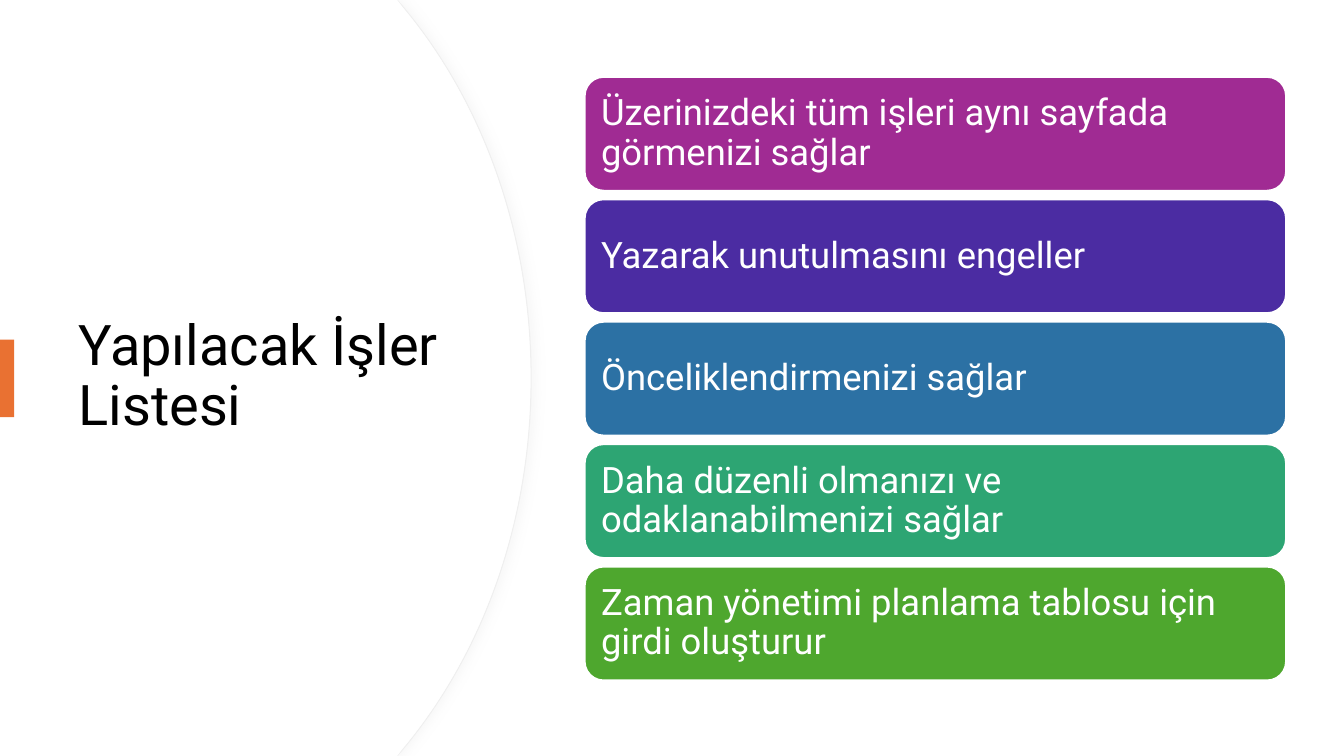
from lxml import etree
from pptx import Presentation
from pptx.dml.color import RGBColor
from pptx.enum.shapes import MSO_SHAPE
from pptx.enum.text import MSO_ANCHOR, PP_ALIGN
from pptx.oxml.ns import qn
from pptx.util import Pt

RECT, ROUNDED = MSO_SHAPE.RECTANGLE, MSO_SHAPE.ROUNDED_RECTANGLE
MIDDLE, LEFT = MSO_ANCHOR.MIDDLE, PP_ALIGN.LEFT

TITLE = "Yapılacak İşler Listesi"
BENEFITS = [
    ("Üzerinizdeki tüm işleri aynı sayfada görmenizi sağlar", "A02B93"),
    ("Yazarak unutulmasını engeller", "4B2CA2"),
    ("Önceliklendirmenizi sağlar", "2C71A4"),
    ("Daha düzenli olmanızı ve odaklanabilmenizi sağlar", "2DA573"),
    ("Zaman yönetimi planlama tablosu için girdi oluşturur", "4EA72E"),
]
THEME = {
    "font": "Roboto", "title_size": 40, "card_size": 26,
    "ink": "000000", "paper": "FFFFFF", "accent": "E97132",
    "edge": "EFEFEF", "shadow": "D9D9D9", "shadow_alpha": 20000,
}
SLIDE_W, SLIDE_H = 960, 540
TITLE_BOX = (49, 91.4, 283.7, 356.4)
ACCENT_BOX = (0, 242.6, 10.1, 55.4)
CARD_X, CARD_Y, CARD_W, CARD_H, CARD_PITCH = 417.6, 54.9, 501.1, 81.4, 87.45
LABEL_GAP = 3.97
TITLE_INSETS, LABEL_INSETS = (7.2, 3.6), (7.8, 7.8)
PANEL_START = (283.7, 0)
PANEL_ARC = [(288.7, 5.8), (344.9, 73.4), (379.4, 167), (379.4, 270)]
CURVE_STARTS = (2, 5)


def rgb(value):
    return RGBColor.from_string(value)


def paint(s, fill, line=None, width=0):
    s.shadow.inherit = False
    s.fill.solid()
    s.fill.fore_color.rgb = rgb(fill)
    if line:
        s.line.color.rgb = rgb(line)
        s.line.width = Pt(width)
    else:
        s.line.fill.background()


def add_text(shapes, box, text, size, color, insets):
    tf = shapes.add_textbox(*map(Pt, box)).text_frame
    side, end = map(Pt, insets)
    frame_format = {"word_wrap": True, "vertical_anchor": MIDDLE,
                    "margin_left": side, "margin_right": side,
                    "margin_top": end, "margin_bottom": end}
    for name, value in frame_format.items():
        setattr(tf, name, value)
    p = tf.paragraphs[0]
    p.alignment, p.line_spacing = LEFT, 0.9
    r = p.add_run()
    r.text = text
    r.font.name, r.font.size = THEME["font"], Pt(size)
    r.font.color.rgb = rgb(color)


def add_panel(shapes, inward):
    upper = [PANEL_START] + [(x - inward, y) for x, y in PANEL_ARC]
    lower = [(x, SLIDE_H - y) for x, y in reversed(upper[:-1])]
    outline = upper + lower + [(0, SLIDE_H)]
    builder = shapes.build_freeform(0, 0)
    builder.add_line_segments([(Pt(x), Pt(y)) for x, y in outline], close=True)
    panel = builder.convert_to_shape()
    segments = list(panel.element.iter(qn("a:lnTo")))
    for start in CURVE_STARTS:
        curve = etree.Element(qn("a:cubicBezTo"))
        segments[start].addprevious(curve)
        for segment in segments[start:start + 3]:
            curve.append(segment[0])
            segment.getparent().remove(segment)
    return panel


def add_soft_shadow(s):
    effects = s.element.spPr.find(qn("a:effectLst"))
    shadow = etree.SubElement(effects, qn("a:outerShdw"), blurRad=str(Pt(7)),
                              dist=str(Pt(3)), dir="0", algn="l", rotWithShape="0")
    color = etree.SubElement(shadow, qn("a:srgbClr"), val=THEME["shadow"])
    etree.SubElement(color, qn("a:alpha"), val=str(THEME["shadow_alpha"]))


def main():
    prs = Presentation()
    prs.slide_width, prs.slide_height = Pt(SLIDE_W), Pt(SLIDE_H)
    shapes = prs.slides.add_slide(prs.slide_layouts[6]).shapes

    panel_edge = add_panel(shapes, 0)
    paint(panel_edge, THEME["paper"], THEME["edge"], 0.75)
    add_soft_shadow(panel_edge)
    paint(add_panel(shapes, 0.7), THEME["paper"])

    add_text(shapes, TITLE_BOX, TITLE, THEME["title_size"], THEME["ink"], TITLE_INSETS)
    paint(shapes.add_shape(RECT, *map(Pt, ACCENT_BOX)), THEME["accent"])

    cards = shapes.add_group_shape().shapes
    for i, (text, color) in enumerate(BENEFITS):
        y = CARD_Y + i * CARD_PITCH
        card = cards.add_shape(ROUNDED, *map(Pt, (CARD_X, y, CARD_W, CARD_H)))
        paint(card, color, THEME["paper"], 1.5)
        label_box = (CARD_X + LABEL_GAP, y + LABEL_GAP,
                     CARD_W - 2 * LABEL_GAP, CARD_H - 2 * LABEL_GAP)
        add_text(cards, label_box, text, THEME["card_size"], THEME["paper"], LABEL_INSETS)

    prs.save("out.pptx")


if __name__ == "__main__":
    main()
